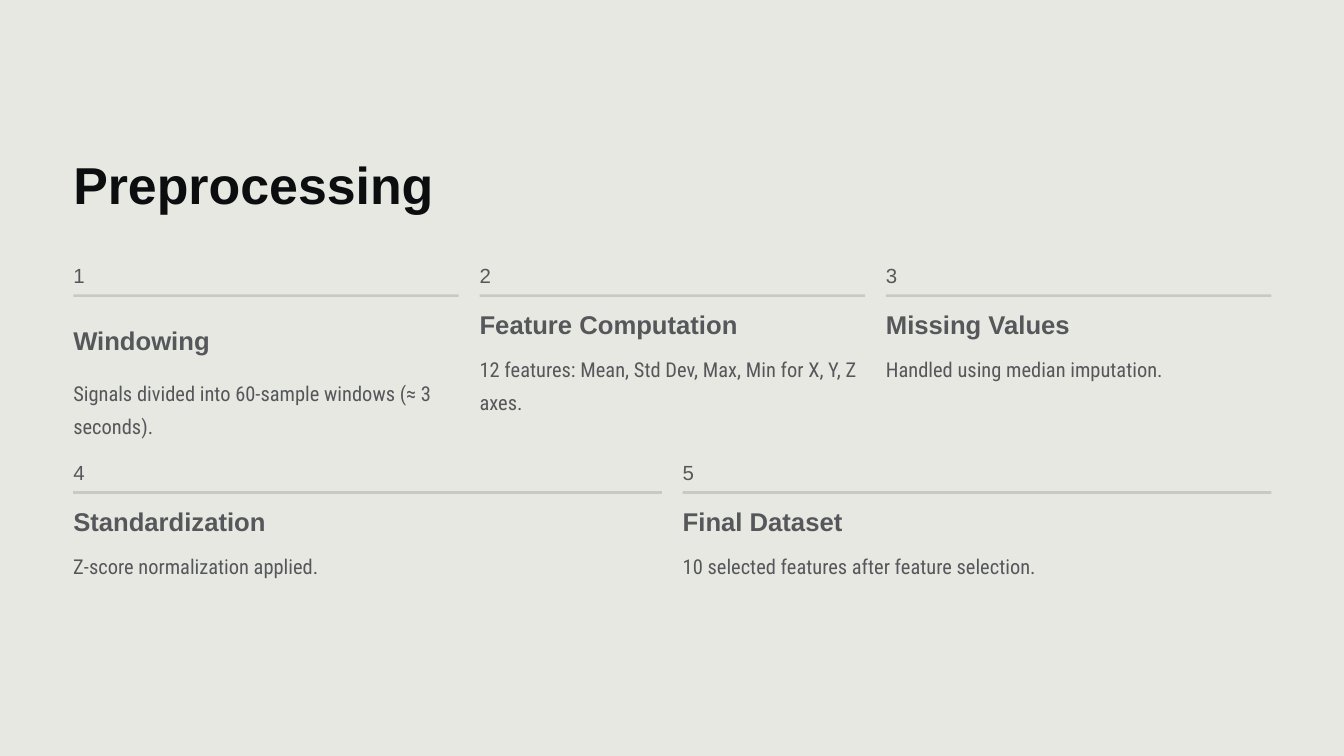
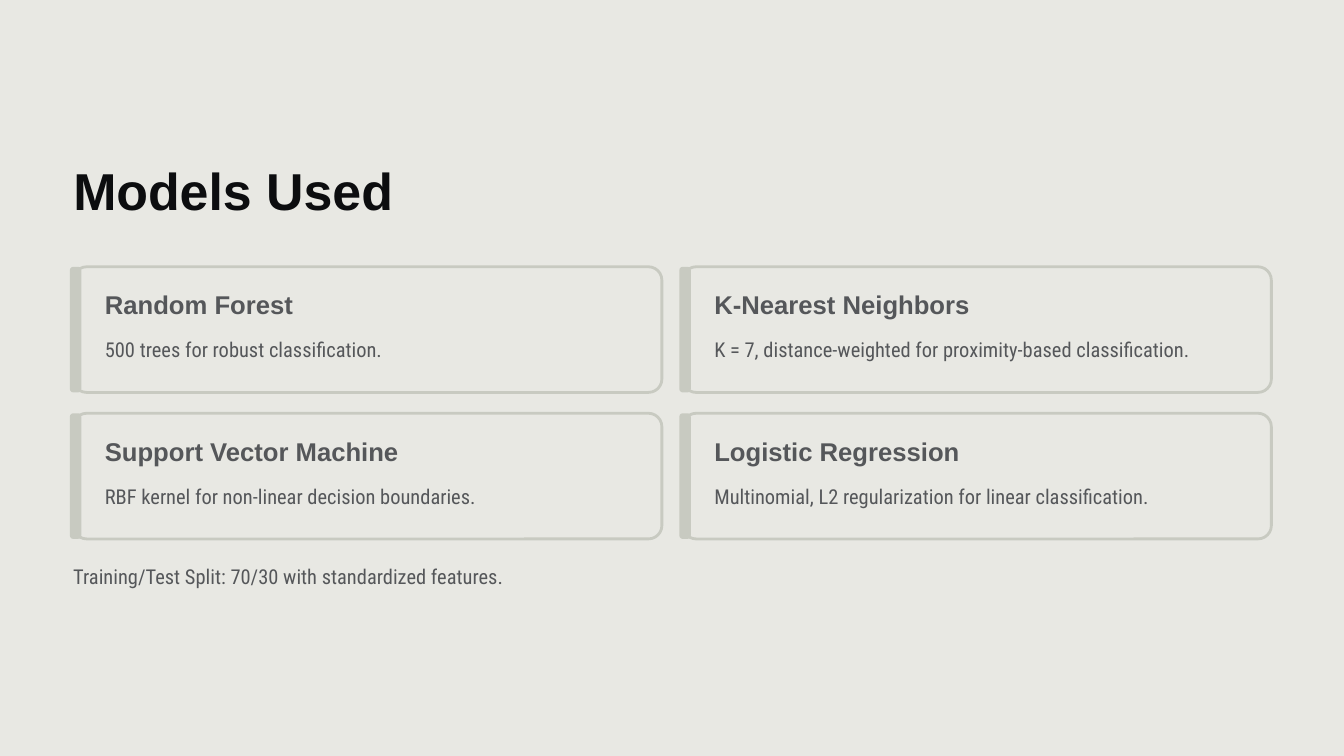
from pptx import Presentation
from pptx.dml.color import RGBColor
from pptx.enum.shapes import MSO_SHAPE
from pptx.enum.text import MSO_ANCHOR, MSO_AUTO_SIZE, PP_ALIGN
from pptx.util import Inches, Pt

COLORS = {"paper": "E8E8E3", "ink": "0C0D0F", "text": "55575A", "rule": "C8CAC1"}
# font, size, line spacing, colour, bold
STYLES = {
    "title": ("Arial", 55.6, 69.4, "ink", True),
    "heading": ("Arial", 27.5, 34.4, "text", True),
    "number": ("Arial", 21.9, 35.6, "text", False),
    "body": ("Roboto Condensed", 21.9, 35.6, "text", False),
}
LEFT, CONTENT_WIDTH, GAP = 1.09, 17.83, 0.31

# number, heading, heading width, description, description height, heading drop, text drop
STEP_ROWS = [
    (3.78, [
        ("1", "Windowing", 3.88,
         "Signals divided into 60-sample windows (≈ 3 seconds).", 1.1, 0.24, 0.36),
        ("2", "Feature Computation", 5.12,
         "12 features: Mean, Std Dev, Max, Min for X, Y, Z axes.", 1.1, 0, 0),
        ("3", "Missing Values", 3.88, "Handled using median imputation.", 0.6, 0, 0),
    ]),
    (6.71, [
        ("4", "Standardization", 4.18, "Z-score normalization applied.", 0.6, 0, 0),
        ("5", "Final Dataset", 3.88,
         "10 selected features after feature selection.", 0.6, 0, 0),
    ]),
]
MODELS = [
    ("Random Forest", 3.88, "500 trees for robust classification."),
    ("K-Nearest Neighbors", 4.99,
     "K = 7, distance-weighted for proximity-based classification."),
    ("Support Vector Machine", 5.89, "RBF kernel for non-linear decision boundaries."),
    ("Logistic Regression", 5, "Multinomial, L2 regularization for linear classification."),
]


def color(name):
    return RGBColor.from_string(COLORS[name])


def column(index, count):
    """Return the left edge and width of one of count equal columns."""
    width = (CONTENT_WIDTH - (count - 1) * GAP) / count
    return LEFT + index * (width + GAP), width


def write(frame, text, style):
    font, size, spacing, ink, bold = STYLES[style]
    frame.word_wrap = True
    frame.auto_size = MSO_AUTO_SIZE.NONE
    frame.vertical_anchor = MSO_ANCHOR.TOP
    frame.margin_left = frame.margin_top = frame.margin_right = frame.margin_bottom = 0
    paragraph = frame.paragraphs[0]
    paragraph.alignment = PP_ALIGN.LEFT
    paragraph.line_spacing = Pt(spacing)
    run = paragraph.add_run()
    run.text = text
    run.font.name = font
    run.font.size = Pt(size)
    run.font.bold = bold
    run.font.color.rgb = color(ink)


def add_text(slide, box, text, style):
    textbox = slide.shapes.add_textbox(*map(Inches, box))
    write(textbox.text_frame, text, style)


def add_block(slide, box, fill, preset=MSO_SHAPE.RECTANGLE, radius=None, outline=None):
    block = slide.shapes.add_shape(preset, *map(Inches, box))
    block.shadow.inherit = False
    block.fill.solid()
    block.fill.fore_color.rgb = color(fill)
    if radius is not None:
        block.adjustments[0] = radius / min(box[2:])
    if outline:
        block.line.color.rgb = color(outline)
        block.line.width = Pt(3)
    else:
        block.line.fill.background()


def add_titled_slide(deck, title, top):
    slide = deck.slides.add_slide(deck.slide_layouts[5])
    slide.background.fill.solid()
    slide.background.fill.fore_color.rgb = color("paper")
    heading = slide.shapes.title
    heading.left, heading.top = Inches(LEFT), Inches(top)
    heading.width, heading.height = Inches(7.75), Inches(1.03)
    write(heading.text_frame, title, "title")
    return slide


def add_step(slide, left, top, width, step):
    number, heading, heading_width, text, text_height, heading_drop, text_drop = step
    add_text(slide, (left, top, 0.31, 0.47), number, "number")
    add_block(slide, (left, top + 0.6, width, 0.04), "rule")
    add_text(slide, (left, top + 0.8 + heading_drop, heading_width, 0.53), heading, "heading")
    add_text(slide, (left, top + 1.4 + text_drop, width, text_height), text, "body")


def add_model_card(slide, left, top, width, model):
    heading, heading_width, text = model
    height = 1.87
    add_block(slide, (left, top, width, height), "paper",
              MSO_SHAPE.ROUNDED_RECTANGLE, 0.2, "rule")
    add_block(slide, (left - 0.05, top, 0.17, height), "rule",
              MSO_SHAPE.ROUNDED_RECTANGLE, 0.05)
    add_text(slide, (left + 0.47, top + 0.31, heading_width, 0.53), heading, "heading")
    add_text(slide, (left + 0.47, top + 0.92, 7.93, 0.6), text, "body")


def build_preprocessing(deck):
    slide = add_titled_slide(deck, "Preprocessing", 2.24)
    for top, steps in STEP_ROWS:
        for index, step in enumerate(steps):
            left, width = column(index, len(steps))
            add_step(slide, left, top, width, step)


def build_models(deck):
    slide = add_titled_slide(deck, "Models Used", 2.32)
    for index, model in enumerate(MODELS):
        row, position = divmod(index, 2)
        left, width = column(position, 2)
        add_model_card(slide, left, 3.97 + row * 2.18, width, model)
    add_text(slide, (LEFT, 8.27, CONTENT_WIDTH, 0.6),
             "Training/Test Split: 70/30 with standardized features.", "body")


def main():
    deck = Presentation()
    deck.slide_width, deck.slide_height = Inches(20), Inches(11.25)
    build_preprocessing(deck)
    build_models(deck)
    deck.save("out.pptx")


if __name__ == "__main__":
    main()
